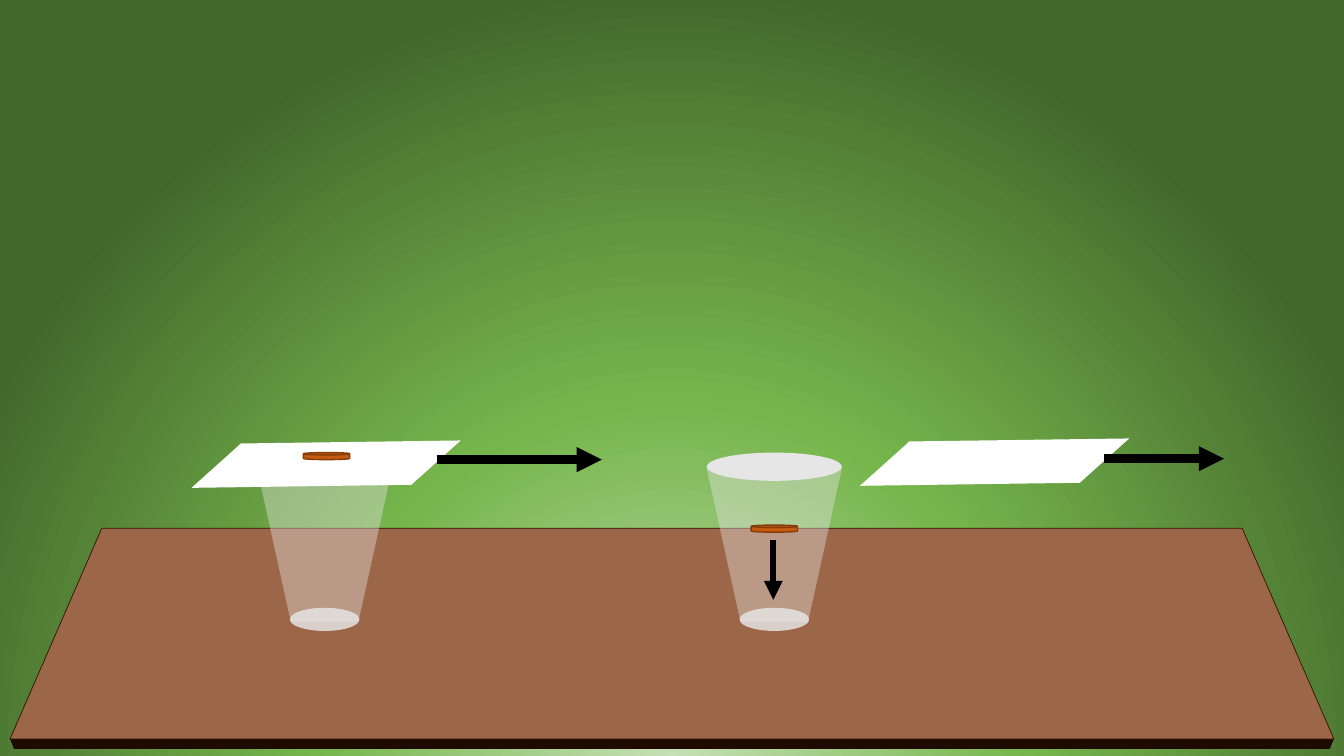
from pptx import Presentation
from pptx.dml.color import RGBColor
from pptx.enum.shapes import MSO_CONNECTOR, MSO_SHAPE
from pptx.oxml import parse_xml
from pptx.oxml.ns import nsdecls, qn
from pptx.util import Inches, Pt
from lxml.etree import SubElement

COLORS = {
    "glow": "C5E0B4", "green": "76B54C", "forest": "43682B",
    "table": "9C6649", "edge": "1F0A00", "outline": "321100",
    "glass": "E7E6E6", "card": "FFFFFF",
    "coin": "C55A11", "coin_line": "843C0B", "arrow": "000000",
}


def style(sp, color, line=None, width=1, alpha=None):
    sp.shadow.inherit = False
    sp.fill.solid()
    sp.fill.fore_color.rgb = RGBColor.from_string(COLORS[color])
    if alpha:
        clr = sp.fill._xPr.find(qn("a:solidFill"))[0]
        SubElement(clr, qn("a:alpha"), val=str(alpha * 1000))
    if line:
        sp.line.color.rgb = RGBColor.from_string(COLORS[line])
        sp.line.width = Pt(width)
    else:
        sp.line.fill.background()


def add_preset(s, kind, x, y, w, h, *args, **kwargs):
    sp = s.shapes.add_shape(kind, Inches(x), Inches(y), Inches(w), Inches(h))
    style(sp, *args, **kwargs)
    return sp


def add_polygon(s, x, y, points, *args):
    pts = [(Inches(x + dx), Inches(y + dy)) for dx, dy in points]
    builder = s.shapes.build_freeform(*pts[0])
    builder.add_line_segments(pts[1:], close=True)
    style(builder.convert_to_shape(), *args)


def add_background(s):
    stops = "".join(
        f'<a:gs pos="{pos * 1000}"><a:srgbClr val="{COLORS[name]}"/></a:gs>'
        for pos, name in [(0, "glow"), (46, "green"), (100, "forest")])
    bg = parse_xml(
        f'<p:bg {nsdecls("p", "a")}><p:bgPr><a:gradFill rotWithShape="1">'
        f'<a:gsLst>{stops}</a:gsLst><a:path path="circle">'
        '<a:fillToRect l="50000" t="130000" r="50000" b="-30000"/></a:path>'
        '</a:gradFill><a:effectLst/></p:bgPr></p:bg>')
    s._element.cSld.insert(0, bg)


def add_table_top(s, x, y, w, h):
    inset, front = 0.91, h - 0.1
    add_polygon(s, x, y, [(0, front), (w, front), (w - 0.04, h), (0.04, h)], "edge")
    add_polygon(s, x, y, [(inset, 0), (w - inset, 0), (w, front), (0, front)],
                "table", "outline", 0.5)


def add_glass(s, x, y, w, h):
    base_w, base_h = 0.69, 0.23
    add_preset(s, MSO_SHAPE.OVAL, x, y, w, 0.28, "glass")
    cup = add_preset(s, MSO_SHAPE.TRAPEZOID, x, y + 0.16, w, h - 0.25, "glass", alpha=40)
    cup._element.spPr.find(qn("a:xfrm")).set("flipV", "1")
    add_preset(s, MSO_SHAPE.OVAL, x + (w - base_w) / 2, y + h - base_h,
               base_w, base_h, "glass", alpha=83)


def add_card(s, x, y, w, h):
    slant = 0.49
    add_polygon(s, x, y, [(slant, 0.03), (w, 0), (w - slant, h - 0.03), (0, h)], "card")


def add_coin(s, x, y):
    add_preset(s, MSO_SHAPE.FLOWCHART_MAGNETIC_DISK, x, y, 0.46, 0.07, "coin", "coin_line")


def add_arrow(s, x1, y1, x2, y2, width):
    cx = s.shapes.add_connector(
        MSO_CONNECTOR.STRAIGHT, Inches(x1), Inches(y1), Inches(x2), Inches(y2))
    cx.line.color.rgb = RGBColor.from_string(COLORS["arrow"])
    cx.line.width = Pt(width)
    SubElement(cx.line._get_or_add_ln(), qn("a:tailEnd"), type="triangle")
    SubElement(cx._element.spPr, qn("a:effectLst"))


def add_covered_glass(s, x, y):
    add_glass(s, x, y, 1.34, 1.77)
    add_card(s, x - 0.65, y - 0.12, 2.67, 0.47)
    add_coin(s, x + 0.46, y)
    add_arrow(s, x + 1.78, y + 0.07, x + 3.42, y + 0.07, 6)


def add_falling_coin(s, x, y):
    add_glass(s, x, y, 1.34, 1.77)
    add_coin(s, x + 0.44, y + 0.72)
    add_arrow(s, x + 0.66, y + 0.87, x + 0.66, y + 1.46, 4.5)
    add_card(s, x + 1.52, y - 0.14, 2.67, 0.47)
    add_arrow(s, x + 3.94, y + 0.06, x + 5.13, y + 0.06, 6)


prs = Presentation()
prs.slide_width, prs.slide_height = Inches(13.33), Inches(7.5)
s = prs.slides.add_slide(prs.slide_layouts[6])
add_background(s)
add_table_top(s, 0.1, 5.24, 13.13, 2.19)
add_covered_glass(s, 2.55, 4.49)
add_falling_coin(s, 7.01, 4.49)
prs.save("out.pptx")
